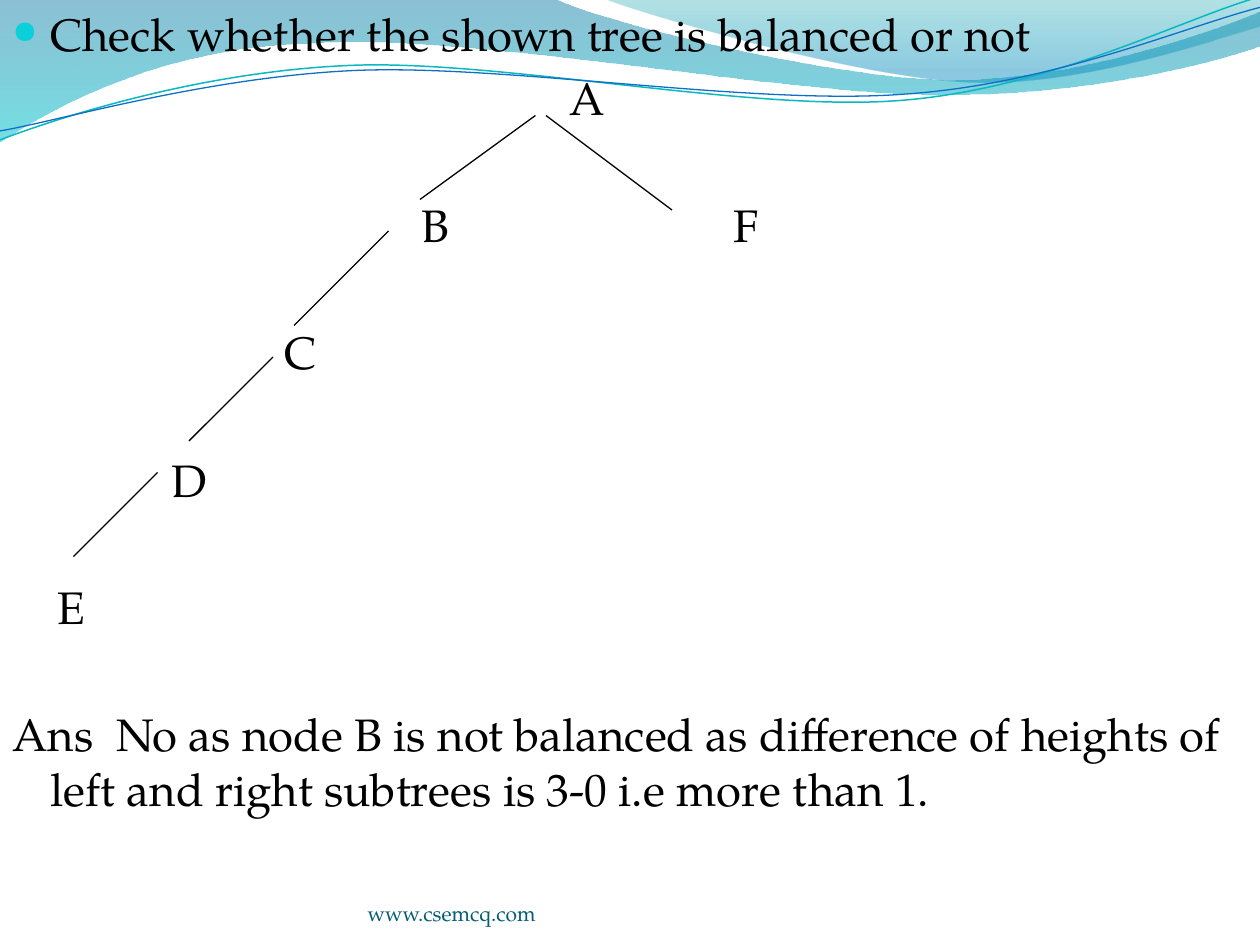
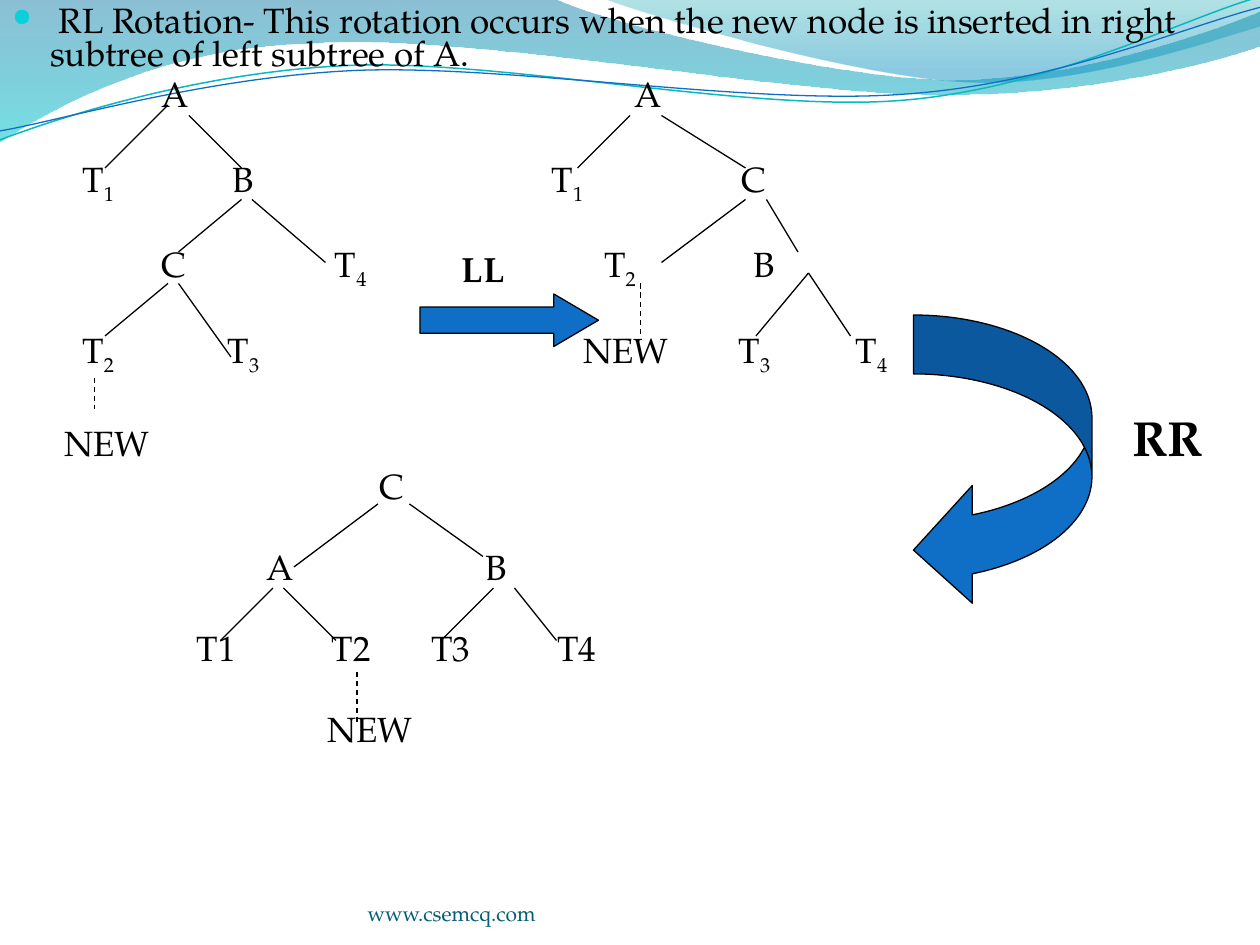
from lxml.etree import SubElement
from pptx import Presentation
from pptx.dml.color import RGBColor
from pptx.enum.dml import MSO_LINE
from pptx.enum.shapes import MSO_CONNECTOR, MSO_SHAPE
from pptx.enum.text import MSO_ANCHOR
from pptx.oxml.ns import qn
from pptx.util import Cm, Pt

FONT = "TeX Gyre Pagella"
BLACK, BLUE, TEAL = "000000", "0F6FC6", "045D75"
STEP = 25.4 / 120  # grid of the tree lines, in cm
INSET = 0.25
hue = RGBColor.from_string

# Outlines in cm: a start point, then lines (2 numbers) and curves (6 numbers)
bands = [
    ([(0, 0), (11.18, -0.03),
      (12.09, 0.43, 16.87, 1.6, 19.25, 1.6),
      (21.67, 1.6, 24.33, 0.66, 25.4, 0.23), (25.43, 0.91),
      (24.97, 1.12, 22.1, 1.93, 18.95, 1.91),
      (15.8, 1.91, 9.7, 0.71, 6.53, 0.86),
      (3.28, 0.91, 1.17, 2.11, -0.03, 2.87), (0, 0)],
     [(0, "0074A1", 45), (1, "00C6CF", 55)]),
    ([(12.17, -0.03),
      (12.93, 0.28, 17.32, 1.57, 19.53, 1.65),
      (21.74, 1.75, 24.41, 0.81, 25.4, 0.53), (25.4, 0), (12.17, -0.03)],
     [(0, "00A1A9", 30), (0.8, "008BBF", 45)]),
]
waves = [
    ([(0, 2.82), (1.22, 2.36, 4.01, 1.45, 7.04, 1.32),
      (10.03, 1.19, 15.06, 2.26, 18.11, 2.03),
      (21.16, 1.8, 23.83, 0.38, 25.35, -0.05)], "0AB8BF", 0.85),
    ([(0, 2.64), (1.19, 2.44, 4.17, 1.55, 7.19, 1.42),
      (10.24, 1.3, 15.16, 2.13, 18.21, 1.9),
      (21.23, 1.7, 23.9, 0.53, 25.4, 0.15)], BLUE, 0.75),
]


def trace(slide, route, close):
    """Draw the outline, joining each three points of a curve into one Bézier."""
    spots = [(Cm(part[i]), Cm(part[i + 1]))
             for part in route for i in range(0, len(part), 2)]
    pen = slide.shapes.build_freeform(*spots[0])
    pen.add_line_segments(spots[1:], close=close)
    shape = pen.convert_to_shape()
    shape.shadow.inherit = False
    legs = iter(list(shape._element.iter(qn("a:lnTo"))))
    for part in route[1:]:
        leg = next(legs)
        if len(part) == 6:
            leg.tag = qn("a:cubicBezTo")
            for _ in range(2):
                extra = next(legs)
                leg.append(extra[0])
                extra.getparent().remove(extra)
    return shape


def style(para, size, color=BLACK, bold=False):
    para.font.name, para.font.size, para.font.bold = FONT, Pt(size), bold
    para.font.color.rgb = hue(color)


# Rows: space before in points, then labels with their left edges in cm;
# an underscore lowers the digit after it. Lines: x1, y1, x2, y2 in steps.
pages = [
    ("Check whether the shown tree is balanced or not", 26, 1.0,
     [(5.2, [("A", 11.48)]),
      (41.5, [("B", 8.49), ("F", 14.78)]),
      (41.5, [("C", 5.73)]),
      (41.5, [("D", 3.46)]),
      (41.5, [("E", 1.16)])],
     "Ans  No as node B is not balanced as difference of heights of left "
     "and right subtrees is 3-0 i.e more than 1.",
     [(51, 11, 40, 19), (37, 22, 28, 31), (26, 34, 18, 42), (15, 45, 7, 53),
      (52, 11, 64, 20)], []),
    (" RL Rotation- This rotation occurs when the new node is inserted in right "
     "subtree of left subtree of A.", 20, 0.8,
     [(4, [("A", 3.26), ("A", 12.8)]),
      (27.1, [("T_1", 1.66), ("B", 4.69), ("T_1", 11.12), ("C", 14.94)]),
      (27.1, [("C", 3.25), ("T_4", 6.75), ("T_2", 12.18), ("B", 15.2)]),
      (27.1, [("T_2", 1.66), ("T_3", 4.59), ("NEW", 11.76), ("T_3", 14.89),
              ("T_4", 17.25)]),
      (27.1, [("NEW", 1.3), ("RR", 22.83)]),
      (4, [("C", 7.65)]),
      (27.1, [("A", 5.38), ("B", 9.79)]),
      (27.1, [("T1", 3.97), ("T2", 6.69), ("T3", 8.7), ("T4", 11.24)]),
      (27.1, [("NEW", 6.6)])],
     "",
     [(16, 10, 10, 16), (18, 11, 23, 16), (23, 19, 17, 24), (24, 19, 31, 25),
      (17, 27, 22, 34), (16, 27, 10, 32),
      (60, 11, 55, 16), (63, 11, 71, 16), (71, 19, 63, 25), (73, 19, 76, 24),
      (77, 26, 72, 32), (77, 26, 81, 32),
      (36, 48, 28, 54), (39, 48, 46, 53), (26, 56, 21, 61), (27, 56, 32, 61),
      (47, 56, 42, 61), (49, 56, 53, 61)],
     [(9, 36, 9, 39), (61, 27, 61, 32), (34, 64, 34, 69)]),
]

deck = Presentation()
deck.slide_width, deck.slide_height = Cm(25.4), Cm(19.05)

for title, size, gap, rows, answer, solid, dashed in pages:
    slide = deck.slides.add_slide(deck.slide_layouts[6])
    for route, stops in bands:
        band = trace(slide, route, True)
        band.line.fill.background()
        band.fill.gradient()
        band.fill.gradient_angle = 270
        for stop, (place, color, _) in zip(band.fill.gradient_stops, stops):
            stop.position = place
            stop.color.rgb = hue(color)
        tints = band._element.spPr.iter(qn("a:srgbClr"))
        for tint, (_, _, alpha) in zip(list(tints), stops):
            SubElement(tint, qn("a:alpha"), val=str(alpha * 1000))
    for route, color, weight in waves:
        wave = trace(slide, route, False)
        wave.fill.background()
        wave.line.color.rgb = hue(color)
        wave.line.width = Pt(weight)

    body = slide.shapes.add_textbox(0, 0, deck.slide_width, deck.slide_height)
    frame = body.text_frame
    frame.word_wrap = True
    frame.margin_left = frame.margin_right = Cm(INSET)
    frame.margin_top = frame.margin_bottom = Cm(0.13)
    for text in filter(None, (title, answer)):
        head = text == title
        para = frame.paragraphs[0] if head else frame.add_paragraph()
        para.line_spacing = gap
        props = para._p.get_or_add_pPr()
        props.set("marL", str(Cm(0.76)))
        props.set("indent", str(-Cm(0.76)))
        if head:
            tint = SubElement(props, qn("a:buClr"))
            SubElement(tint, qn("a:srgbClr"), val="0BD0D9")
            SubElement(props, qn("a:buSzPct"), val="70000")
            SubElement(props, qn("a:buChar"), char="●")
        else:
            para.space_before = Pt(41.5)
        style(para, size)
        para.add_run().text = text
        if not head:
            break
        for before, names in rows:
            para = frame.add_paragraph()
            para.line_spacing = gap
            para.space_before = Pt(before)
            tabs = SubElement(para._p.get_or_add_pPr(), qn("a:tabLst"))
            for _, left in names:
                SubElement(tabs, qn("a:tab"), pos=str(Cm(left - INSET)), algn="l")
            style(para, size)
            for name, _ in names:
                base, _, low = name.partition("_")
                run = para.add_run()
                run.text = "\t" + base
                if base == "RR":
                    run.font.size, run.font.bold = Pt(28), True
                if low:
                    run = para.add_run()
                    run.text = low
                    run._r.get_or_add_rPr().set("baseline", "-25000")

    for ends in solid + dashed:
        edge = slide.shapes.add_connector(
            MSO_CONNECTOR.STRAIGHT, *[Cm(n * STEP) for n in ends])
        edge.line.color.rgb = hue(BLACK)
        edge.line.width = Pt(0.75)
        if ends in dashed:
            edge.line.dash_style = MSO_LINE.DASH
        SubElement(edge._element.spPr, qn("a:effectLst"))

    foot = slide.shapes.add_textbox(Cm(7.41), Cm(17.65), Cm(9.32), Cm(1.02)).text_frame
    foot.word_wrap = True
    foot.margin_left = foot.margin_right = foot.margin_top = foot.margin_bottom = 0
    foot.vertical_anchor = MSO_ANCHOR.BOTTOM
    foot.text = "www.csemcq.com"
    style(foot.paragraphs[0], 12, TEAL)

turn = deck.slides[1]
arrows = [
    (MSO_SHAPE.RIGHT_ARROW, (40, 28, 17, 5), (0.5, 0.85)),
    (MSO_SHAPE.CURVED_LEFT_ARROW, (87, 30, 17, 28), (0.33, 0.66, 0.33)),
]
for kind, spot, bends in arrows:
    arrow = turn.shapes.add_shape(kind, *[Cm(n * STEP) for n in spot])
    arrow.shadow.inherit = False
    for i, bend in enumerate(bends):
        arrow.adjustments[i] = bend
    arrow.fill.solid()
    arrow.fill.fore_color.rgb = hue(BLUE)
    arrow.line.color.rgb = hue(BLACK)
    arrow.line.width = Pt(0.75)

label = turn.shapes.add_textbox(Cm(8.26), Cm(4.87), Cm(3.38), Cm(1.09)).text_frame
label.word_wrap = True
label.margin_left = Cm(1.05)
label.text = "LL"
style(label.paragraphs[0], 20, bold=True)

deck.save("out.pptx")
